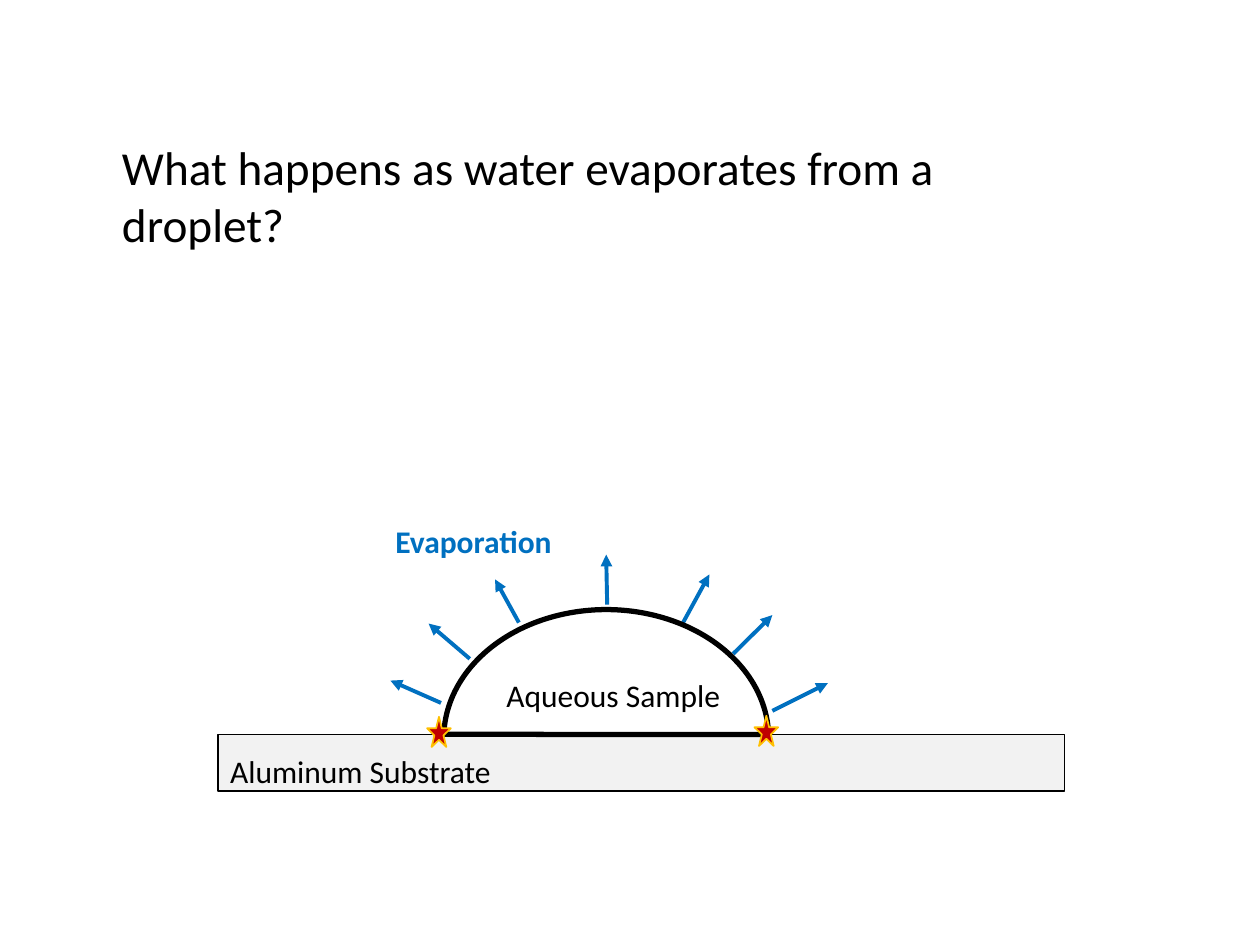
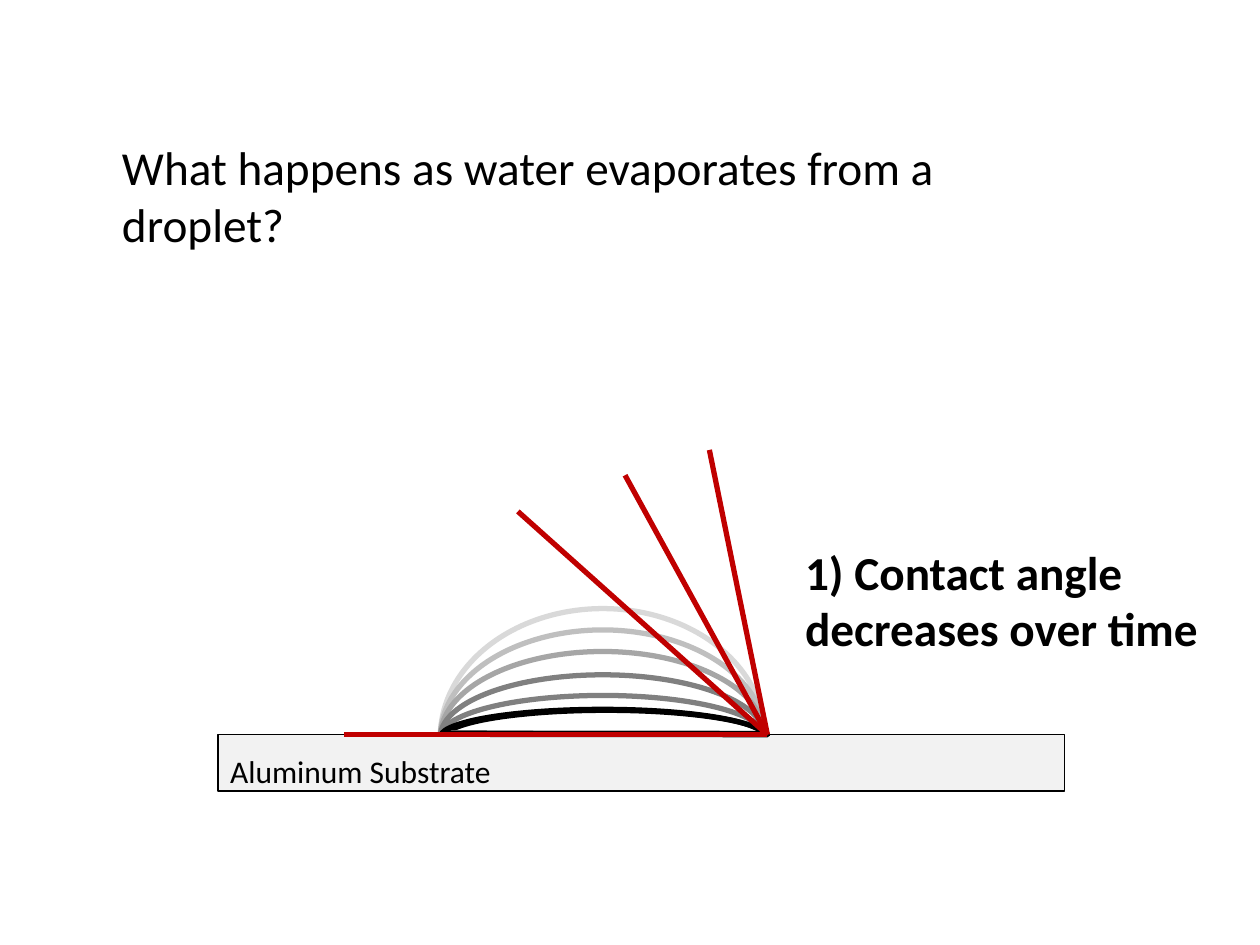
from dataclasses import dataclass

from lxml.etree import SubElement
from pptx import Presentation
from pptx.dml.color import RGBColor
from pptx.enum.shapes import MSO_CONNECTOR as Connector, MSO_SHAPE as Preset
from pptx.enum.text import MSO_AUTO_SIZE as AutoSize
from pptx.oxml.ns import qn
from pptx.util import Cm, Pt


@dataclass(frozen=True)
class Theme:
    font: str = "Calibri"
    title_size: int = 27
    label_size: int = 18
    thin: float = 1
    arrow: float = 2.25
    thick: float = 3
    ink: str = "000000"
    substrate: str = "F2F2F2"
    vapor: str = "0070C0"
    accent: str = "C00000"
    glow: str = "FFC000"
    fading: tuple = ("D9D9D9", "BFBFBF", "A6A6A6", "808080", "808080", "000000")


THEME = Theme()
DROPLET_WIDTH = 6.55
CHORD_ANGLES = (54.8, 161.276)
SURFACE = 14.81
CONTACT_POINT = (15.47, SURFACE)
DROPLET_DEPTHS = (5.18, 4.32, 3.45, 2.51, 1.68, 1.12)
TANGENT_TIPS = ((14.3, 9.07), (12.6, 9.58), (10.44, 10.31), (6.93, SURFACE))
VAPOR_ARROWS = (
    ((8.89, 14.17), (7.87, 13.72)),
    ((9.47, 13.28), (8.64, 12.57)),
    ((10.46, 12.55), (9.98, 11.68)),
    ((12.24, 12.19), (12.22, 11.18)),
    ((13.77, 12.55), (14.3, 11.58)),
    ((14.78, 13.18), (15.57, 12.4)),
    ((15.57, 14.33), (16.69, 13.77)),
)


class Deck:
    def __init__(self, theme):
        self.theme = theme
        self.presentation = Presentation()
        self.presentation.slide_width = Cm(25.4)
        self.presentation.slide_height = Cm(19.05)
        self.slide = None

    def new_slide(self):
        layout = self.presentation.slide_layouts[6]
        self.slide = self.presentation.slides.add_slide(layout)
        self.text("What happens as water evaporates from a droplet?",
                  at=(2.21, 2.67, 19.9, 1.42), size=self.theme.title_size)
        self.shape(Preset.RECTANGLE, (4.39, SURFACE, 17.07, 1.14),
                   fill=self.theme.substrate)
        self.text("Aluminum Substrate", at=(4.39, 15.04, 6.07, 1.02))

    def text(self, text, *, at, size=None, color=None, bold=False):
        box = self.slide.shapes.add_textbox(*map(Cm, at))
        frame = box.text_frame
        frame.word_wrap = True
        frame.auto_size = AutoSize.SHAPE_TO_FIT_TEXT
        paragraph = frame.paragraphs[0]
        run = paragraph.add_run()
        run.text = text
        run.font.name = self.theme.font
        run.font.size = Pt(size or self.theme.label_size)
        run.font.bold = bold
        run.font.color.rgb = RGBColor.from_string(color or self.theme.ink)

    def shape(self, preset, at, *, fill=None, line=None, weight=None):
        shape = self.slide.shapes.add_shape(preset, *map(Cm, at))
        shape.shadow.inherit = False
        if fill:
            shape.fill.solid()
            shape.fill.fore_color.rgb = RGBColor.from_string(fill)
        else:
            shape.fill.background()
        shape.line.color.rgb = RGBColor.from_string(line or self.theme.ink)
        shape.line.width = Pt(weight or self.theme.thin)
        return shape

    def droplet(self, center, depth, color):
        left = center[0] - depth / 2
        top = center[1] - DROPLET_WIDTH / 2
        shape = self.shape(Preset.CHORD, (left, top, depth, DROPLET_WIDTH),
                           line=color, weight=self.theme.thick)
        shape.adjustments[0], shape.adjustments[1] = CHORD_ANGLES
        shape.rotation = 90

    def star(self, left, top):
        self.shape(Preset.STAR_5_POINT, (left, top, 0.48, 0.61),
                   fill=self.theme.accent, line=self.theme.glow)

    def line(self, start, end, *, color, weight, arrow=False):
        connector = self.slide.shapes.add_connector(
            Connector.STRAIGHT, *map(Cm, (*start, *end)))
        connector.line.color.rgb = RGBColor.from_string(color)
        connector.line.width = Pt(weight)
        if arrow:
            SubElement(connector.line._get_or_add_ln(), qn("a:tailEnd"), type="triangle")
        SubElement(connector._element.spPr, qn("a:effectLst"))


def evaporation_slide(deck):
    theme = deck.theme
    deck.new_slide()
    for start, end in VAPOR_ARROWS:
        deck.line(start, end, color=theme.vapor, weight=theme.arrow, arrow=True)
    deck.text("Aqueous Sample", at=(9.96, 13.51, 4.88, 1.02))
    deck.text("Evaporation", at=(7.72, 10.39, 3.96, 1.02), color=theme.vapor, bold=True)
    deck.droplet((12.22, 14.88), DROPLET_DEPTHS[0], theme.ink)
    deck.star(8.61, 14.45)
    deck.star(15.21, 14.43)


def contact_angle_slide(deck):
    theme = deck.theme
    deck.new_slide()
    deck.droplet((12.22, 14.88), DROPLET_DEPTHS[-1], theme.ink)
    for depth, color in zip(DROPLET_DEPTHS, theme.fading):
        deck.droplet((12.15, 14.86), depth, color)
    for tip in TANGENT_TIPS:
        deck.line(tip, CONTACT_POINT, color=theme.accent, weight=theme.thick)
    deck.text("1) Contact angle decreases over time",
              at=(15.98, 10.82, 8.94, 2.57), size=theme.title_size, bold=True)


def main():
    deck = Deck(THEME)
    evaporation_slide(deck)
    contact_angle_slide(deck)
    deck.presentation.save("out.pptx")


if __name__ == "__main__":
    main()
